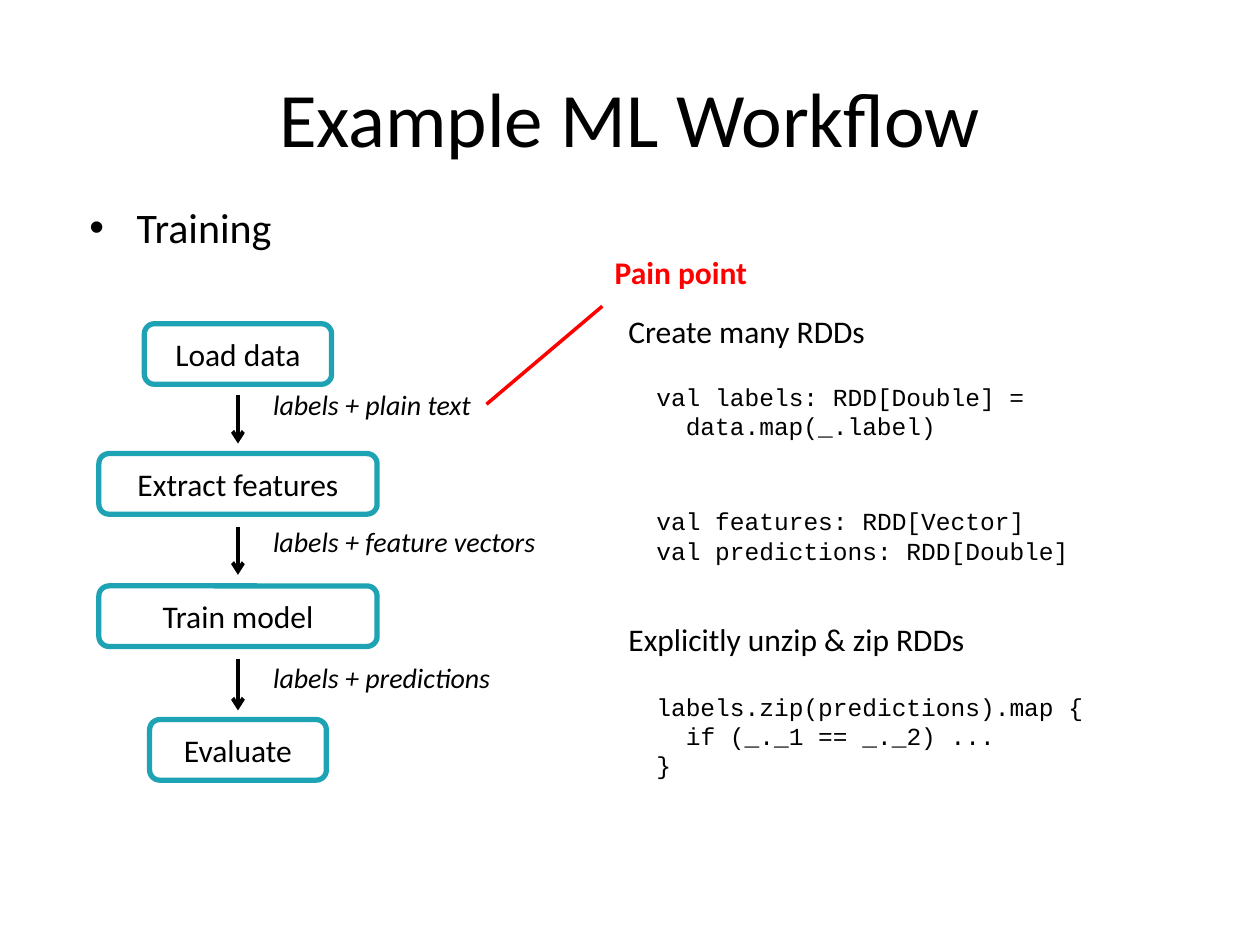
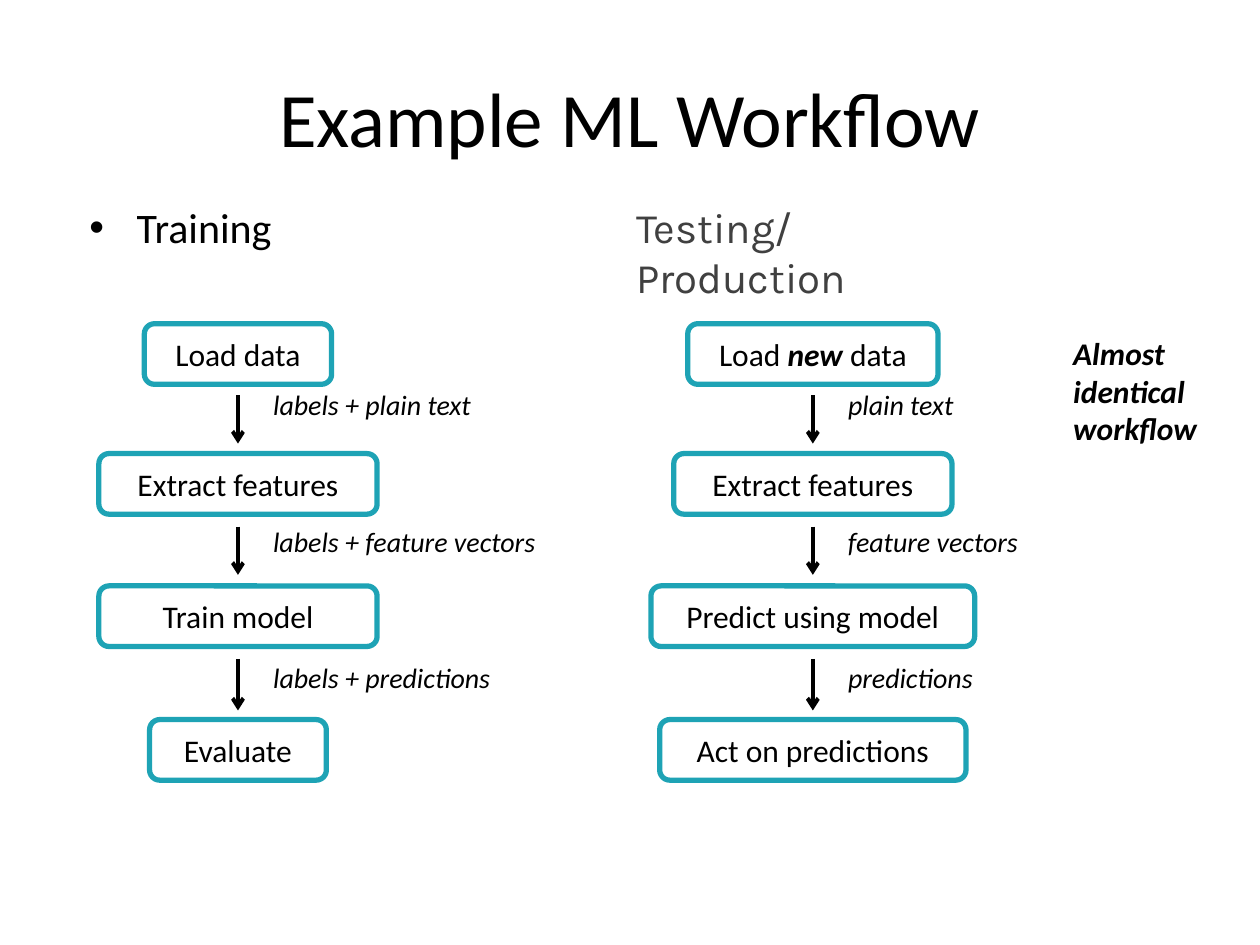
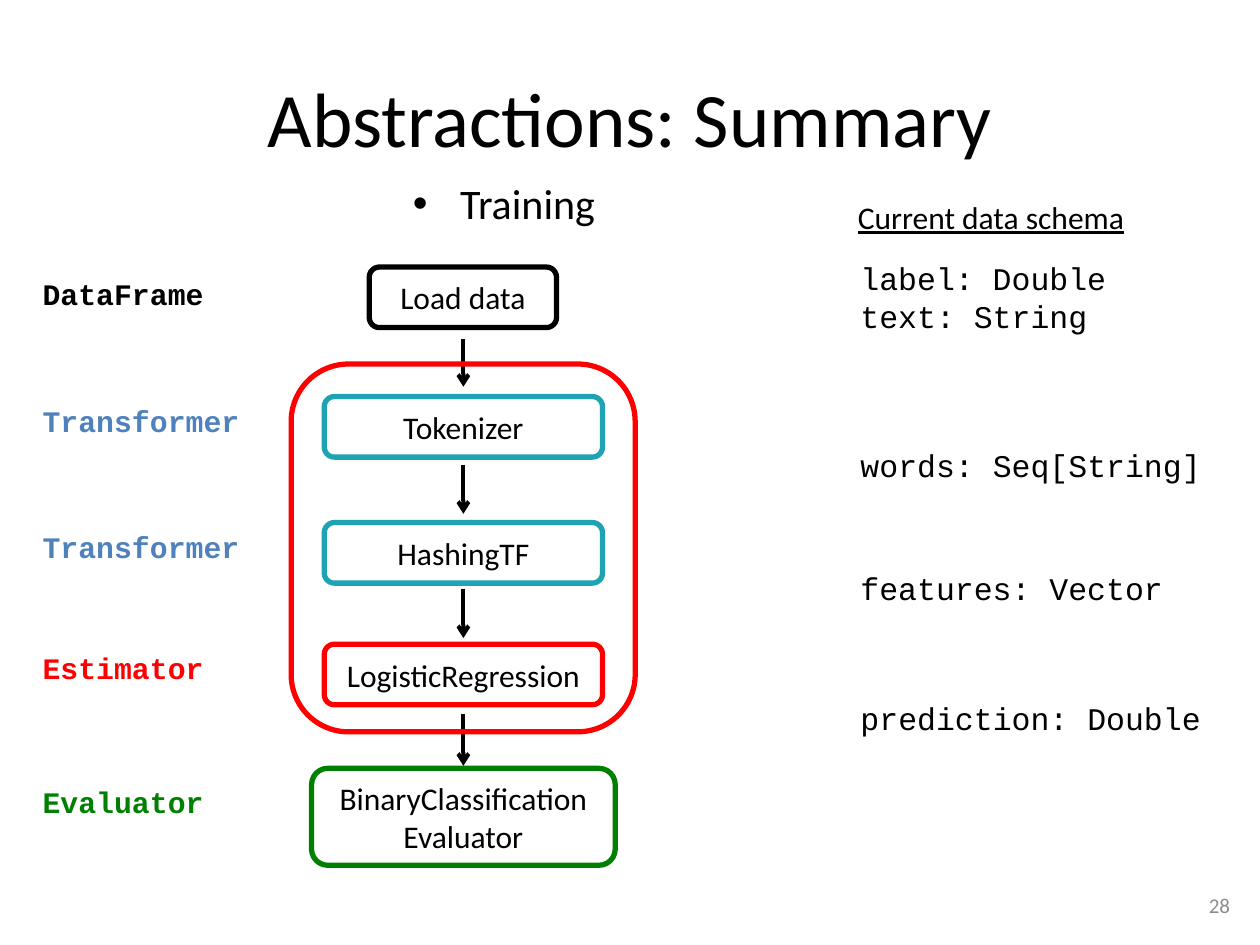
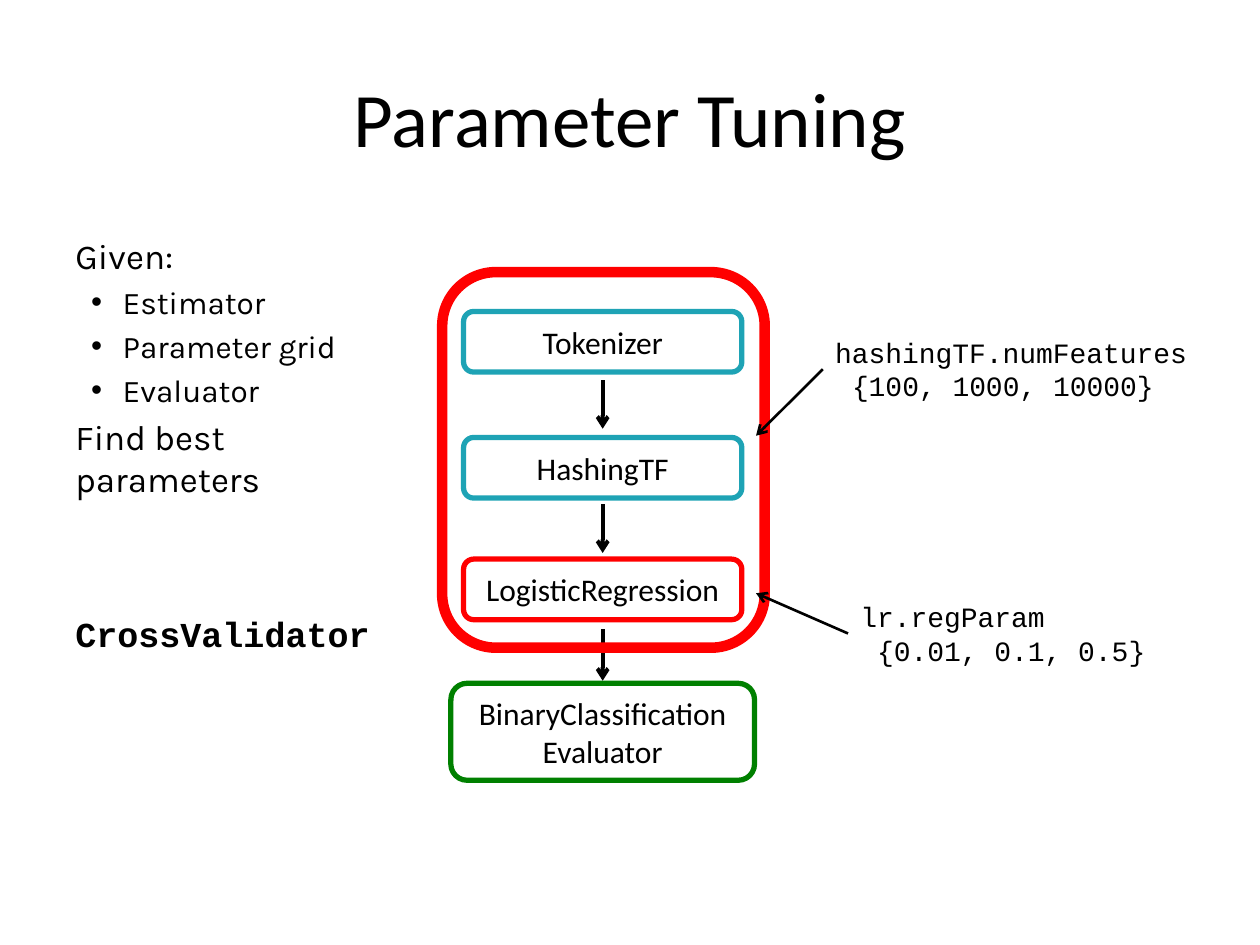
from lxml.etree import SubElement
from pptx import Presentation
from pptx.dml.color import RGBColor
from pptx.enum.shapes import MSO_CONNECTOR as CONN, MSO_SHAPE as SHAPE
from pptx.enum.text import MSO_ANCHOR as ANCHOR, PP_ALIGN as ALIGN
from pptx.oxml.ns import qn
from pptx.util import Pt

BLACK, TEAL, RED, GREEN = "000000", "1EA3B5", "FF0000", "008000"
BLUE, DARK, GREY = "4F81BD", "404040", "8C8C8C"
SANS, MONO, KARLA = "Calibri", "Courier New", "Karla"
hue = RGBColor.from_string

deck = Presentation()
deck.slide_width, deck.slide_height = Pt(720), Pt(540)


def put(slide, text, x, y, w, h, edge=None, thick=3, title=False, size=18,
        font=SANS, color=BLACK, bold=False, italic=False, under=False,
        align=ALIGN.LEFT, anchor=ANCHOR.TOP, wrap=False, before=0,
        hang=27, dents=()):
    at = Pt(x), Pt(y), Pt(w), Pt(h)
    if title:
        shape = slide.shapes.title
        shape.left, shape.top, shape.width, shape.height = at
    elif edge:
        shape = slide.shapes.add_shape(SHAPE.ROUNDED_RECTANGLE, *at)
        shape.shadow.inherit = False
        shape.fill.background()
        shape.line.color.rgb = hue(edge)
        shape.line.width = Pt(thick)
    else:
        shape = slide.shapes.add_textbox(*at)
    frame = shape.text_frame
    if title or edge:
        align, anchor, wrap = ALIGN.CENTER, ANCHOR.MIDDLE, True
    frame.word_wrap, frame.vertical_anchor = wrap, anchor
    for i, line in enumerate(text.split("\n")):
        para = frame.add_paragraph() if i else frame.paragraphs[0]
        para.alignment, para.space_before = align, Pt(before)
        props = para._p.get_or_add_pPr()
        if line.startswith("• "):
            line = line[2:]
            props.set("marL", str(Pt(27)))
            props.set("indent", str(Pt(-hang)))
            SubElement(props, qn("a:buFont")).set("typeface", "Arial")
            SubElement(props, qn("a:buChar")).set("char", "•")
        elif dents:
            props.set("marL", str(Pt(dents[i])))
        for j, part in enumerate(line.split("*")):
            if part:
                run = para.add_run()
                run.text = part
                style = run.font
                style.name, style.size, style.underline = font, Pt(size), under
                style.bold, style.italic = bold or j % 2 == 1, italic or j % 2 == 1
                style.color.rgb = hue(color)
    return shape


def link(slide, x1, y1, x2, y2, color=BLACK, thick=2.25, head=True):
    line = slide.shapes.add_connector(CONN.STRAIGHT, Pt(x1), Pt(y1), Pt(x2), Pt(y2))
    line.line.color.rgb = hue(color)
    line.line.width = Pt(thick)
    if head:
        SubElement(line.line._get_or_add_ln(), qn("a:tailEnd")).set("type", "arrow")
    SubElement(line._element.spPr, qn("a:effectLst"))


slides = []
for name in ("Example ML Workflow", "Example ML Workflow",
             "Abstractions: Summary", "Parameter Tuning"):
    slide = deck.slides.add_slide(deck.slide_layouts[5])
    put(slide, name, 36, 21.6, 648, 90, title=True, size=44)
    slides.append(slide)
pain, twin, recap, tune = slides

train = (
    [("Load data", 107), ("Extract features", 159), ("Train model", 159), ("Evaluate", 101)],
    [("labels + plain text", 129), ("labels + feature vectors", 166), ("labels + predictions", 140)],
)
test = (
    [("Load *new* data", 143), ("Extract features", 159), ("Predict using model", 185),
     ("Act on predictions", 175)],
    [("plain text", 76), ("feature vectors", 113), ("predictions", 87)],
)
tops = (185, 259.2, 334.8, 411.2)
shafts = ((226, 253.5), (301, 328.5), (376.5, 406))
for slide, mid, (steps, notes) in ((pain, 136, train), (twin, 136, train), (twin, 464.5, test)):
    for (text, w), y in zip(steps, tops):
        put(slide, text, mid - w / 2, y, w, 34.6, edge=TEAL)
    for i, ((text, w), (start, end)) in enumerate(zip(notes, shafts)):
        link(slide, mid, start, mid, end)
        put(slide, text, mid + 13, 218.2 + 77.75 * i, w, 26.6, size=16, italic=True)

for slide in (pain, twin):
    put(slide, "• Training", 44, 111.6, 142.6, 64, size=24, wrap=True, before=4.8)

put(pain, "Pain point", 344.2, 141, 91, 29, color=RED, bold=True)
link(pain, 278, 231, 344.2, 175, color=RED, thick=2, head=False)
for text, y, w in (("Create many RDDs", 175, 151), ("Explicitly unzip & zip RDDs", 350.6, 209)):
    put(pain, text, 352, y, w, 29)
for text, y, w, h, dents in (
    ("val labels: RDD[Double] =\ndata.map(_.label)", 214.6, 232.6, 41, (0, 16.8)),
    ("val features: RDD[Vector]\nval predictions: RDD[Double]", 285.8, 258.5, 41, ()),
    ("labels.zip(predictions).map {\nif (_._1 == _._2) ...\n}", 391.7, 258.5, 58.3, (0, 16.8, 0)),
):
    put(pain, text, 368, y, w, h, size=14, font=MONO, wrap=True, dents=dents)

put(twin, "Testing/Production", 356.4, 111.6, 216, 64, size=24, font=KARLA,
    color=DARK, wrap=True, before=4.8)
put(twin, "Almost identical workflow", 606.2, 187.2, 98.6, 72.7,
    bold=True, italic=True, wrap=True)

put(recap, "• Training", 212.4, 98, 151.2, 52, size=24, wrap=True, before=4.8, align=ALIGN.CENTER)
put(recap, "Load data", 211, 152.6, 107, 34.6, edge=BLACK)
link(recap, 264.8, 193.7, 264.8, 221)
stages = (
    ("Tokenizer", 0, 159, 34.6, TEAL),
    ("HashingTF", 72, 159, 34.6, TEAL),
    ("LogisticRegression", 141.5, 159, 34.6, RED),
    ("BinaryClassification\nEvaluator", 212.5, 173.5, 55.4, GREEN),
)
for slide, mid, top in ((recap, 264.8, 226.6), (tune, 344.4, 178)):
    for text, drop, w, h, edge in stages:
        put(slide, text, mid - w / 2, top + drop, w, h, edge=edge)
    for start, end in ((39.2, 67), (110.2, 138), (181.5, 211)):
        link(slide, mid, top + start, mid, top + end)
put(recap, "", 166.4, 208, 196.6, 210.2, edge=RED)
put(tune, "", 252.7, 155.5, 184.3, 214.6, edge=RED, thick=6)

for text, y, w, color in (
    ("DataFrame", 154, 108, BLACK), ("Transformer", 226.8, 128, BLUE),
    ("Transformer", 298.8, 128, BLUE), ("Estimator", 368, 108, RED),
    ("Evaluator", 444.2, 108, GREEN),
):
    put(recap, text, 17.3, y, w, 28, size=17, font=MONO, color=color, bold=True)
put(recap, "Current data schema", 483.1, 109.4, 168.5, 29, under=True)
for text, y, w, h in (
    ("label: Double\ntext: String", 144.7, 155.5, 51), ("words: Seq[String]", 251.3, 210.2, 29),
    ("features: Vector", 321.8, 188, 29), ("prediction: Double", 396, 210.2, 29),
):
    put(recap, text, 484.6, y, w, h, font=MONO)
put(recap, "28", 666, 502.6, 44, 28.8, size=12, color=GREY, align=ALIGN.RIGHT, anchor=ANCHOR.MIDDLE)

goal = put(tune, "Given:\n• Estimator\n• Parameter grid\n• Evaluator\nFind best parameters",
           36, 130.3, 205.2, 177, size=20, font=KARLA, wrap=True, before=4, hang=18)
for para in goal.text_frame.paragraphs[1:4]:
    para.space_before = Pt(3.6)
    para.runs[0].font.size = Pt(18)
put(tune, "CrossValidator", 36, 346.3, 184.3, 31.7, size=20, font=MONO, bold=True)
for text, x, y, w, tip in (
    ("hashingTF.numFeatures\n{100, 1000, 10000}", 470.2, 188, 219, 249),
    ("lr.regParam\n{0.01, 0.1, 0.5}", 484.6, 339, 180, 339),
):
    put(tune, text, x, y, w, 46, size=16, font=MONO, dents=(0, 9.6))
    link(tune, x, y + 23, 432, tip, thick=1.5)

deck.save("out.pptx")
